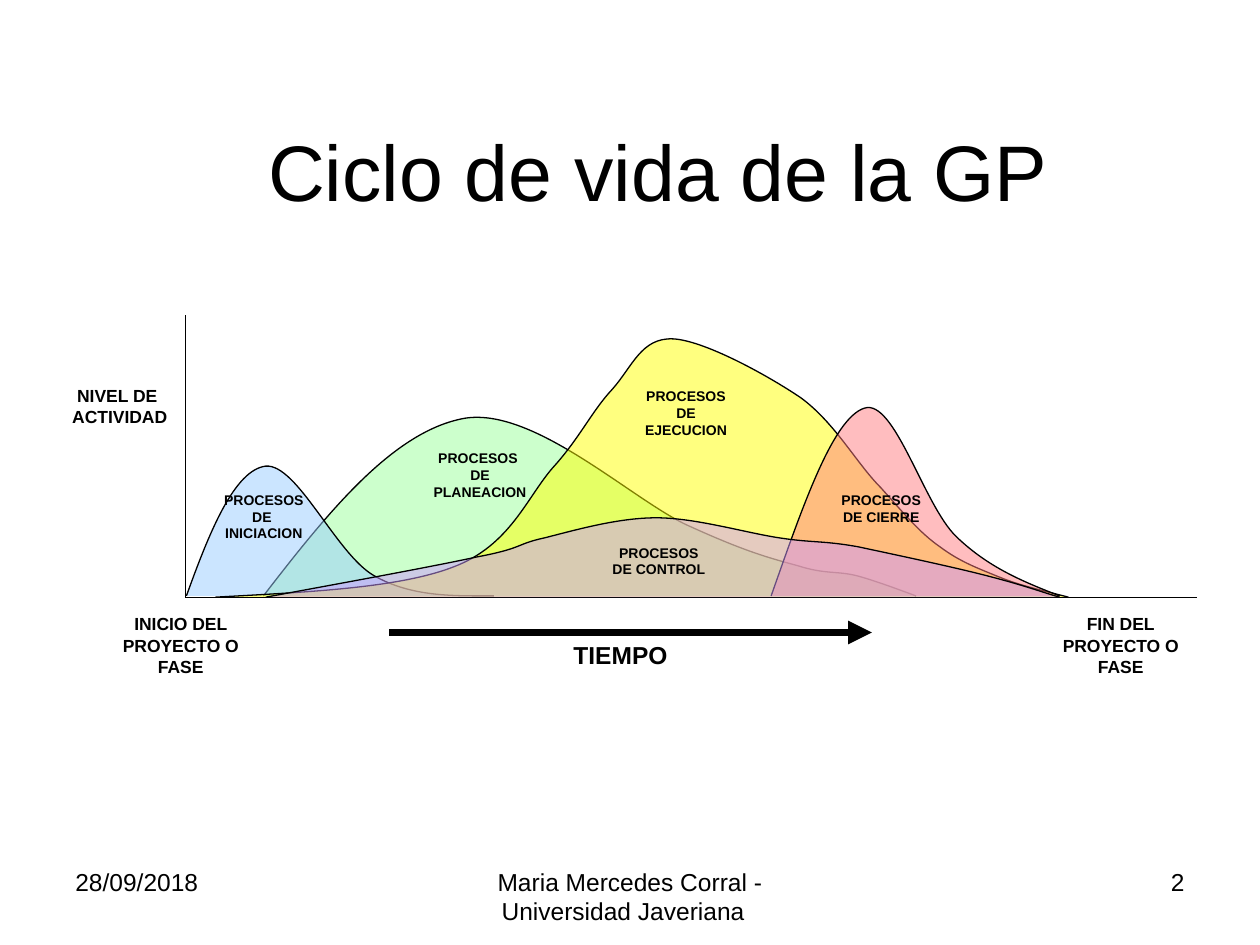
from collections import namedtuple

from lxml.etree import SubElement
from pptx import Presentation
from pptx.dml.color import RGBColor
from pptx.enum.shapes import MSO_CONNECTOR
from pptx.enum.text import MSO_ANCHOR, MSO_AUTO_SIZE, PP_ALIGN
from pptx.oxml.ns import qn
from pptx.util import Inches, Pt

BLACK = RGBColor(0x00, 0x00, 0x00)
GREEN = RGBColor(0xCC, 0xFF, 0xCC)
BLUE = RGBColor(0x99, 0xCC, 0xFF)
YELLOW = RGBColor(0xFF, 0xFF, 0x00)
RED = RGBColor(0xFF, 0x7C, 0x80)
PURPLE = RGBColor(0xCC, 0x99, 0xFF)

FONT = "Arial"
COLUMNS, ROWS = 10, 7.5
CELL = Inches(1)

Box = namedtuple("Box", "left top width height")
TITLE_BOX = Box(0.72, 1.1, 9, 1.25)
CHART_BOX = Box(1.47, 2.5, 8.03, 2.24)
FOOTER_BOX = Box(0.5, 6.83, 9, 0.52)

PLANNING = [(0.62, 0.01), (1.13, 0.67), (1.65, 1.32), (2.22, 1.42), (2.78, 1.51),
            (3.57, 0.75), (4.01, 0.56), (4.45, 0.36), (4.64, 0.31), (4.86, 0.25),
            (5.08, 0.18), (5.17, 0.21), (5.33, 0.17), (5.48, 0.13), (5.69, 0.05),
            (5.8, 0.01)]
INITIATION = [(0.01, 0.01), (0.19, 0.51), (0.39, 1.01), (0.64, 1.04), (0.89, 1.06),
              (1.2, 0.34), (1.5, 0.17), (1.8, 0), (2.13, 0.01), (2.45, 0.01)]
EXECUTION = [(0.24, 0), (0.96, 0.04), (1.69, 0.07), (2.13, 0.24), (2.58, 0.41),
             (2.71, 0.79), (2.92, 1.03), (3.13, 1.26), (3.23, 1.48), (3.39, 1.65),
             (3.55, 1.83), (3.62, 2.06), (3.87, 2.05), (4.11, 2.04), (4.61, 1.77),
             (4.89, 1.58), (5.16, 1.38), (5.33, 1.06), (5.52, 0.87), (5.7, 0.67),
             (5.83, 0.51), (5.99, 0.4), (6.15, 0.28), (6.29, 0.23), (6.46, 0.16),
             (6.63, 0.09), (6.82, 0.05), (7.01, 0)]
CLOSING = [(4.65, 0.01), (4.9, 0.72), (5.14, 1.42), (5.39, 1.5), (5.63, 1.58),
           (5.86, 0.73), (6.12, 0.48), (6.38, 0.23), (6.66, 0.12), (6.94, 0.01)]
CONTROL = [(0.64, 0), (1.29, 0.12), (1.95, 0.24), (2.32, 0.32), (2.69, 0.39),
           (2.62, 0.42), (2.85, 0.47), (3.09, 0.53), (3.43, 0.63), (3.74, 0.63),
           (4.05, 0.63), (4.45, 0.51), (4.72, 0.47), (4.98, 0.43), (5.06, 0.45),
           (5.34, 0.4), (5.62, 0.34), (6.14, 0.23), (6.4, 0.16), (6.67, 0.09),
           (6.83, 0.03), (6.94, 0)]
BACK_CURVES = [(PLANNING, GREEN, 100), (INITIATION, BLUE, 50),
               (EXECUTION, YELLOW, 50), (CLOSING, RED, 50)]

LABELS = [("PROCESOS \nDE\nPLANEACION", Box(1.87, 1.02, 0.94, 0.5), 8),
          ("PROCESOS\nDE \nINICIACION", Box(0.21, 1.35, 0.83, 0.5), 8),
          ("NIVEL DE \nACTIVIDAD", Box(-1, 0.51, 0.96, 0.43), 10),
          ("INICIO DEL\nPROYECTO O\nFASE", Box(-0.6, 2.32, 1.13, 0.6), 10),
          ("FIN DEL\nPROYECTO O\nFASE", Box(6.86, 2.32, 1.13, 0.6), 10),
          ("PROCESOS\nDE\nEJECUCION", Box(3.55, 0.53, 0.85, 0.5), 8),
          ("PROCESOS\nDE CIERRE", Box(5.11, 1.35, 0.83, 0.37), 8),
          ("TIEMPO", Box(2.98, 2.53, 0.95, 0.33), 14),
          ("PROCESOS\nDE CONTROL", Box(3.29, 1.77, 0.94, 0.37), 8)]


def cells(*lengths):
    """Convert grid cells to slide lengths."""
    return [round(length * CELL) for length in lengths]


def format_text(text_frame, size, alignment, bold=False):
    """Give every paragraph of a frame the same look."""
    for paragraph in text_frame.paragraphs:
        paragraph.alignment = alignment
        paragraph.font.name = FONT
        paragraph.font.size = Pt(size)
        paragraph.font.bold = bold
        paragraph.font.color.rgb = BLACK


def add_text(shapes, text, box, size, alignment, bold=False, wrap=True):
    """Add a text box at the given box."""
    text_frame = shapes.add_textbox(*cells(*box)).text_frame
    text_frame.text = text
    text_frame.word_wrap = wrap
    if not wrap:
        text_frame.auto_size = MSO_AUTO_SIZE.SHAPE_TO_FIT_TEXT
    format_text(text_frame, size, alignment, bold)


def add_line(shapes, start, end, width, arrow=False):
    """Add a black straight line, with an optional arrowhead at its end."""
    connector = shapes.add_connector(MSO_CONNECTOR.STRAIGHT, *cells(*start, *end))
    connector.line.color.rgb = BLACK
    connector.line.width = Pt(width)
    if arrow:
        SubElement(connector.get_or_add_ln(), qn("a:tailEnd"), type="triangle")
    SubElement(connector._element.spPr, qn("a:effectLst"))


def bend_segments(shape):
    """Turn every three straight segments of an outline into one cubic curve."""
    outline = next(shape._element.iter(qn("a:path")))
    segments = outline.findall(qn("a:lnTo"))
    for first in range(0, len(segments), 3):
        curve = SubElement(outline, qn("a:cubicBezTo"))
        for segment in segments[first:first + 3]:
            curve.append(segment[0])
            outline.remove(segment)


def add_curve(shapes, box, points, color, opacity):
    """Add a filled activity curve that rises from the base of the box."""
    base = box.top + box.height
    start, *others = [cells(box.left + x, base - height) for x, height in points]
    builder = shapes.build_freeform(*start)
    builder.add_line_segments(others, close=False)
    shape = builder.convert_to_shape()
    bend_segments(shape)
    shape.shadow.inherit = False
    shape.fill.solid()
    shape.fill.fore_color.rgb = color
    shape.line.color.rgb = BLACK
    shape.line.width = Pt(0.75)
    if opacity < 100:
        fill_color = shape._element.spPr.find(qn("a:solidFill"))[0]
        SubElement(fill_color, qn("a:alpha"), val=str(opacity * 1000))


def add_title(slide, box):
    """Place and format the slide title."""
    title = slide.shapes.title
    title.left, title.top, title.width, title.height = cells(*box)
    title.text_frame.text = "Ciclo de vida de la GP\v"
    title.text_frame.vertical_anchor = MSO_ANCHOR.MIDDLE
    title.text_frame.auto_size = MSO_AUTO_SIZE.NONE
    format_text(title.text_frame, 45, PP_ALIGN.CENTER)


def add_life_cycle(slide, box):
    """Draw the activity curves with their axes, labels and time arrow."""
    shapes = slide.shapes.add_group_shape().shapes
    base = box.top + box.height
    for points, color, opacity in BACK_CURVES:
        add_curve(shapes, box, points, color, opacity)
    origin = (box.left, base)
    add_line(shapes, origin, (box.left + box.width, base), 0.75)
    add_line(shapes, origin, (box.left, box.top), 0.75)
    arrow_top = base + 0.28
    add_line(shapes, (box.left + 1.62, arrow_top), (box.left + 5.45, arrow_top), 4.5, True)
    add_curve(shapes, box, CONTROL, PURPLE, 50)
    for text, area, size in LABELS:
        place = Box(box.left + area.left, box.top + area.top, area.width, area.height)
        add_text(shapes, text, place, size, PP_ALIGN.CENTER, bold=True, wrap=False)


def add_footer(slide, box):
    """Place the date, the author and the slide number along the box."""
    side, middle = 2.33, 3.17
    parts = [("28/09/2018", 0, side, PP_ALIGN.LEFT),
             ("Maria Mercedes Corral - Universidad Javeriana  ",
              (box.width - middle) / 2, middle, PP_ALIGN.CENTER),
             ("2", box.width - side, side, PP_ALIGN.RIGHT)]
    for text, offset, width, alignment in parts:
        place = Box(box.left + offset, box.top, width, box.height)
        add_text(slide.shapes, text, place, 14, alignment)


def main():
    """Build the slide and save it."""
    presentation = Presentation()
    presentation.slide_width, presentation.slide_height = cells(COLUMNS, ROWS)
    slide = presentation.slides.add_slide(presentation.slide_layouts[5])
    add_title(slide, TITLE_BOX)
    add_life_cycle(slide, CHART_BOX)
    add_footer(slide, FOOTER_BOX)
    presentation.save("out.pptx")


if __name__ == "__main__":
    main()
